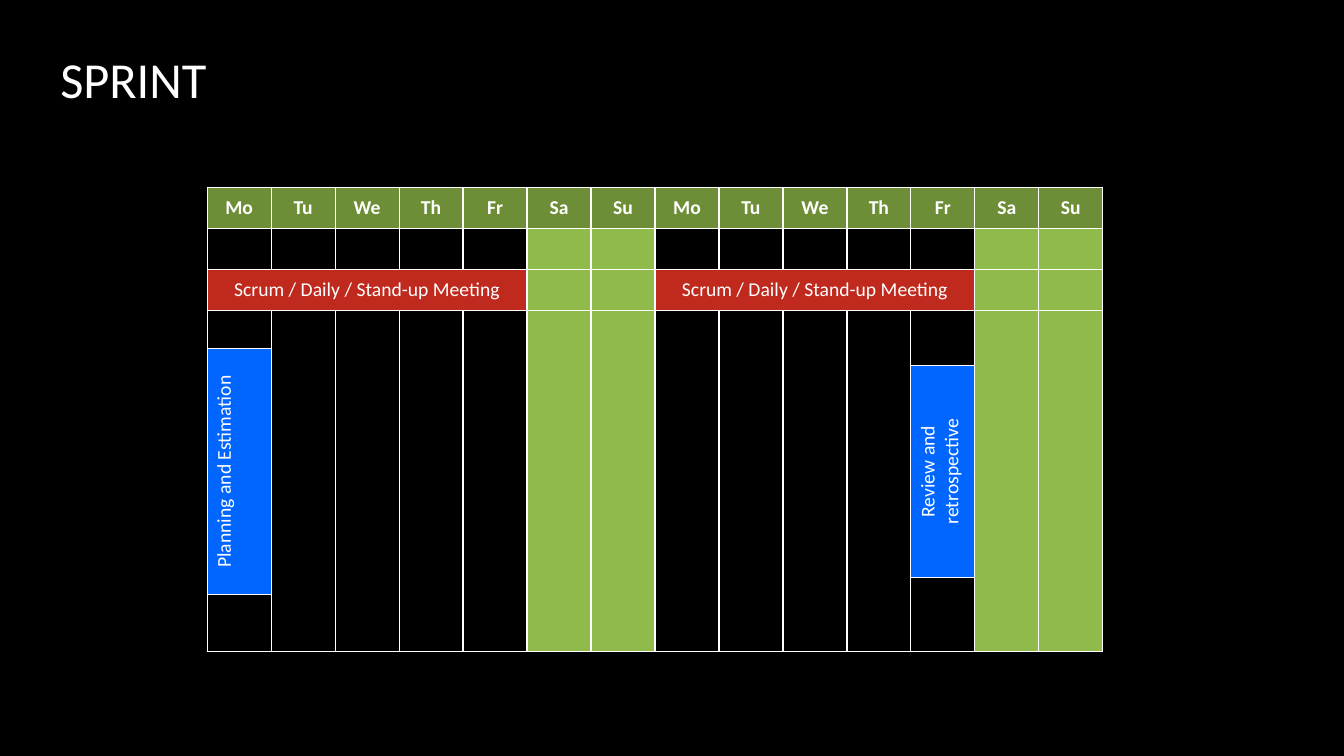
from dataclasses import dataclass

from lxml import etree
from pptx import Presentation
from pptx.dml.color import RGBColor
from pptx.enum.text import MSO_ANCHOR, PP_ALIGN
from pptx.oxml.ns import qn
from pptx.util import Pt

MIDDLE = MSO_ANCHOR.MIDDLE
CENTER = PP_ALIGN.CENTER

WEEK = ["Mo", "Tu", "We", "Th", "Fr", "Sa", "Su"]
DAYS = WEEK * 2
WORKDAYS = 5
WEEK_STARTS = (0, len(WEEK))
REVIEW_DAY = len(WEEK) + WORKDAYS - 1
ROW_HEIGHTS = [29.2, 29.2, 29.2, 27.4, 12.4, 90.7, 12.4, 40.5]
HEADER_ROW, MEETING_ROW, BODY_ROW, PLANNING_ROW, REVIEW_ROW, LAST_ROW = 0, 2, 3, 4, 5, 7
TABLE_LEFT, TABLE_TOP, TABLE_WIDTH = 148, 134, 640


@dataclass(frozen=True)
class Theme:
    """Colours and type of the slide."""

    font: str = "Calibri"
    title_size: float = 36
    cell_size: float = 14
    border_width: float = 1
    background: str = "000000"
    text: str = "FFFFFF"
    header: str = "6D8E37"
    weekend: str = "90BA4C"
    meeting: str = "C02A1E"
    event: str = "0066FF"


THEME = Theme()


def add_run(paragraph, text, size, bold=False):
    """Add one styled run to a paragraph."""
    run = paragraph.add_run()
    run.text = text
    run.font.name = THEME.font
    run.font.size = Pt(size)
    run.font.bold = bold
    run.font.color.rgb = RGBColor.from_string(THEME.text)


def add_title(slide, text):
    """Add the slide title."""
    shape = slide.shapes.add_textbox(Pt(36), Pt(21), Pt(344), Pt(70.5))
    frame = shape.text_frame
    frame.word_wrap = True
    frame.vertical_anchor = MIDDLE
    add_run(frame.paragraphs[0], text, THEME.title_size)


def add_borders(cell):
    """Draw a thin line on every side of a cell."""
    properties = cell._tc.get_or_add_tcPr()
    for side in ("a:lnL", "a:lnR", "a:lnT", "a:lnB"):
        line = etree.SubElement(properties, qn(side), w=str(Pt(THEME.border_width)))
        fill = etree.SubElement(line, qn("a:solidFill"))
        etree.SubElement(fill, qn("a:srgbClr"), val=THEME.text)


def paint(cell, color):
    """Fill a cell with a solid colour."""
    cell.fill.solid()
    cell.fill.fore_color.rgb = RGBColor.from_string(color)


def prepare_cell(cell, is_weekend):
    """Give a cell its border, base fill and empty line height."""
    add_borders(cell)
    if is_weekend:
        paint(cell, THEME.weekend)
    else:
        cell.fill.background()
    paragraph = cell.text_frame.paragraphs[0]
    etree.SubElement(paragraph._p, qn("a:endParaRPr"), sz=str(int(THEME.cell_size * 100)))


def label_cell(cell, text, color, bold=False, vertical=False):
    """Write a centred label in a coloured cell."""
    paint(cell, color)
    cell.vertical_anchor = MIDDLE
    if vertical:
        cell._tc.get_or_add_tcPr().set("vert", "vert270")
    paragraph = cell.text_frame.paragraphs[0]
    paragraph.alignment = CENTER
    add_run(paragraph, text, THEME.cell_size, bold)


def merge_rows(table, column, first, last):
    """Join the cells of one column between two rows."""
    table.cell(first, column).merge(table.cell(last, column))


def add_grid(slide):
    """Add the empty two-week table."""
    shape = slide.shapes.add_table(
        len(ROW_HEIGHTS), len(DAYS),
        Pt(TABLE_LEFT), Pt(TABLE_TOP), Pt(TABLE_WIDTH), Pt(sum(ROW_HEIGHTS)),
    )
    table = shape.table
    table.first_row = False
    table.horz_banding = False
    for column in table.columns:
        column.width = Pt(TABLE_WIDTH / len(DAYS))
    for row, height in zip(table.rows, ROW_HEIGHTS):
        row.height = Pt(height)
        for index, cell in enumerate(row.cells):
            prepare_cell(cell, index % len(WEEK) >= WORKDAYS)
    return table


def fill_calendar(table):
    """Merge the day columns and write days, meetings and events."""
    for column, day in enumerate(DAYS):
        label_cell(table.cell(HEADER_ROW, column), day, THEME.header, bold=True)
        if column not in (0, REVIEW_DAY):
            merge_rows(table, column, BODY_ROW, LAST_ROW)
    for start in WEEK_STARTS:
        meeting = table.cell(MEETING_ROW, start)
        meeting.merge(table.cell(MEETING_ROW, start + WORKDAYS - 1))
        label_cell(meeting, "Scrum / Daily / Stand-up Meeting", THEME.meeting)
    merge_rows(table, 0, PLANNING_ROW, LAST_ROW - 1)
    merge_rows(table, REVIEW_DAY, BODY_ROW, REVIEW_ROW - 1)
    merge_rows(table, REVIEW_DAY, REVIEW_ROW + 1, LAST_ROW)
    label_cell(table.cell(PLANNING_ROW, 0), "Planning and Estimation",
               THEME.event, vertical=True)
    label_cell(table.cell(REVIEW_ROW, REVIEW_DAY), "Review and retrospective",
               THEME.event, vertical=True)


def main():
    """Build the sprint calendar slide."""
    presentation = Presentation()
    presentation.slide_width = Pt(960)
    presentation.slide_height = Pt(540)
    slide = presentation.slides.add_slide(presentation.slide_layouts[6])
    background = slide.background.fill
    background.solid()
    background.fore_color.rgb = RGBColor.from_string(THEME.background)
    add_title(slide, "SPRINT")
    fill_calendar(add_grid(slide))
    presentation.save("out.pptx")


if __name__ == "__main__":
    main()
